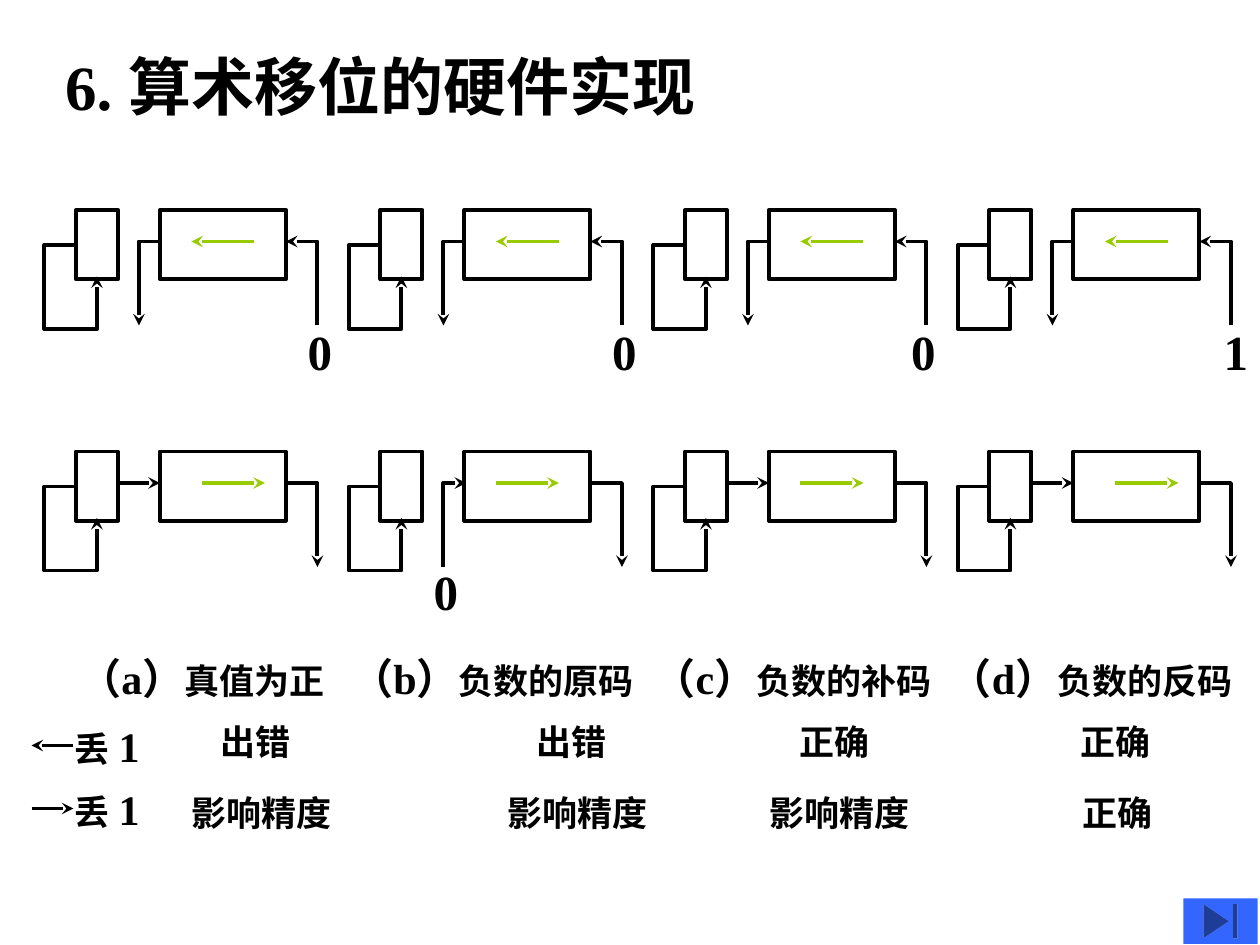
from lxml.etree import SubElement
from pptx import Presentation
from pptx.dml.color import RGBColor
from pptx.enum.shapes import MSO_CONNECTOR, MSO_SHAPE
from pptx.enum.text import MSO_AUTO_SIZE
from pptx.oxml.ns import qn
from pptx.util import Pt

COLORS = {"ink": "000000", "shift": "99CC00", "button": "3366FF"}
FONT = "Times New Roman"
LINE_WIDTH = 2.25

# Each run is (text, size).
TITLE = [("6. 算术移位的硬件实现", 36)]
LOST_BIT = [("丢", 20), (" 1", 24)]

# (letter, caption, left, width)
CAPTIONS = [
    ("a", "真值为正", 38.2, 176),
    ("b", "负数的原码", 193.7, 194),
    ("c", "负数的补码", 366.5, 194),
    ("d", "负数的反码", 535.7, 194),
]

# (top, [(text, left), ...]) for the effect of losing a 1 on each side
RESULTS = [
    (408.2, [("出错", 118.8), ("出错", 299.5), ("正确", 450), ("正确", 610.6)]),
    (448.6, [("影响精度", 102.2), ("影响精度", 283), ("影响精度", 432.7), ("正确", 611.3)]),
]

# Left shift: (bit that enters, its left offset from the sign box)
LEFT_SHIFTS = [("0", 125.3), ("0", 125.3), ("0", 122.2), ("1", 126.7)]
# Right shift: (bit that enters, or None for the sign; start of the green arrow)
RIGHT_SHIFTS = [(None, 72), ("0", 66), (None, 66), (None, 72)]

FIRST_LEFT, COLUMN_PITCH = 43.4, 174
LEFT_SHIFT_TOP, RIGHT_SHIFT_TOP = 120, 258
SIGN_WIDTH, BOX_HEIGHT = 24, 39.6
REGISTER_OFFSET, REGISTER_WIDTH = 48, 72
REGISTER_END = REGISTER_OFFSET + REGISTER_WIDTH
WIRE_Y, WIRE_END_Y = 18, 66
SIGN_LOOP = [(0, 20), (-18, 20), (-18, 68), (12, 68), (12, 38)]
LEFT_WIRE = [(REGISTER_OFFSET + 1, WIRE_Y), (36, WIRE_Y), (36, WIRE_END_Y)]
RIGHT_WIRE = [(REGISTER_END, WIRE_Y), (138, WIRE_Y), (138, WIRE_END_Y)]

presentation = Presentation()
presentation.slide_width, presentation.slide_height = Pt(720), Pt(540)
slide = presentation.slides.add_slide(presentation.slide_layouts[6])
shapes = slide.shapes


def color(name):
    return RGBColor.from_string(COLORS[name])


def set_line(shape, name="ink", arrow=False):
    shape.line.color.rgb = color(name)
    shape.line.width = Pt(LINE_WIDTH)
    if arrow:
        SubElement(shape.element.spPr.find(qn("a:ln")), qn("a:tailEnd"), type="stealth")


def add_text(runs, left, top, width, height):
    box = shapes.add_textbox(Pt(left), Pt(top), Pt(width), Pt(height))
    frame = box.text_frame
    frame.word_wrap = True
    frame.auto_size = MSO_AUTO_SIZE.SHAPE_TO_FIT_TEXT
    paragraph = frame.paragraphs[0]
    paragraph.font.name = FONT
    paragraph.font.bold = True
    paragraph.font.color.rgb = color("ink")
    for text, size in runs:
        run = paragraph.add_run()
        run.text = text
        run.font.size = Pt(size)


def add_box(left, top, width):
    box = shapes.add_shape(MSO_SHAPE.RECTANGLE, Pt(left), Pt(top), Pt(width), Pt(BOX_HEIGHT))
    box.shadow.inherit = False
    box.fill.background()
    set_line(box)


def add_wire(points, left, top):
    """Draw a bent line with an arrowhead at its last point."""
    start, *rest = [(Pt(left + x), Pt(top + y)) for x, y in points]
    builder = shapes.build_freeform(*start)
    builder.add_line_segments(rest, close=False)
    wire = builder.convert_to_shape()
    wire.shadow.inherit = False
    wire.fill.background()
    set_line(wire, arrow=True)


def add_arrow(start, end, y, name="ink"):
    arrow = shapes.add_connector(MSO_CONNECTOR.STRAIGHT, Pt(start), Pt(y), Pt(end), Pt(y))
    set_line(arrow, name, arrow=True)
    SubElement(arrow.element.spPr, qn("a:effectLst"))


def add_bit(bit, left, top):
    add_text([(bit, 28)], left, top, 30, 41)


def add_registers(left, top):
    """Draw the sign box with its feedback loop, and the magnitude register."""
    add_box(left, top, SIGN_WIDTH)
    add_box(left + REGISTER_OFFSET, top, REGISTER_WIDTH)
    add_wire(SIGN_LOOP, left, top)


add_text(TITLE, 30.2, 23.8, 380.2, 93.6)

for letter, caption, left, width in CAPTIONS:
    add_text([(f"（{letter}）", 24), (caption, 20)], left, 369.4, width, 36)

for column, ((left_bit, bit_offset), (right_bit, green_start)) in enumerate(
    zip(LEFT_SHIFTS, RIGHT_SHIFTS)
):
    left = FIRST_LEFT + column * COLUMN_PITCH

    top = LEFT_SHIFT_TOP
    add_registers(left, top)
    add_wire(LEFT_WIRE, left, top)
    add_wire(RIGHT_WIRE[::-1], left, top)
    add_bit(left_bit, left + bit_offset, top + 60)
    add_arrow(left + 102, left + 66, top + WIRE_Y, "shift")

    top = RIGHT_SHIFT_TOP
    add_registers(left, top)
    add_wire(RIGHT_WIRE, left, top)
    if right_bit:
        add_wire(LEFT_WIRE[::-1], left, top)
        add_bit(right_bit, left + 23.3, top + 59.5)
    else:
        add_arrow(left + SIGN_WIDTH, left + REGISTER_OFFSET, top + WIRE_Y)
    add_arrow(left + green_start, left + green_start + 36, top + WIRE_Y, "shift")

for y, start, end in [(426, 42, 18), (462, 18, 42)]:
    add_arrow(start, end, y)
    add_text(LOST_BIT, 35.3, y - 18, 66, 36)

for top, cells in RESULTS:
    for text, left in cells:
        add_text([(text, 20)], left, top, 20 * len(text) + 18, 31.7)

button = shapes.add_shape(MSO_SHAPE.ACTION_BUTTON_END, Pt(676.2), Pt(513.4), Pt(42.4), Pt(26))
button.shadow.inherit = False
button.fill.solid()
button.fill.fore_color.rgb = color("button")
button.line.fill.background()

presentation.save("out.pptx")
